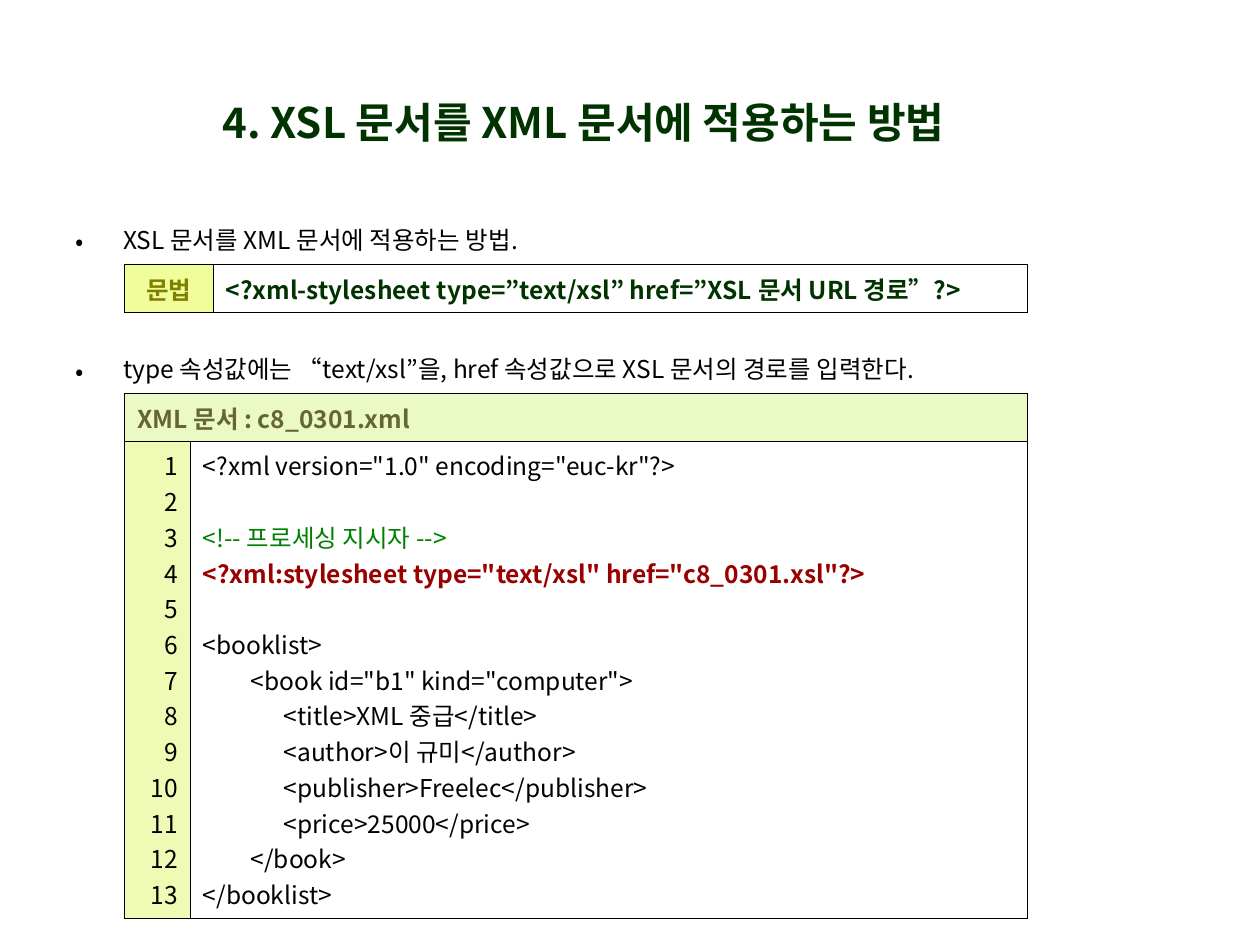
from dataclasses import dataclass

from lxml import etree
from pptx import Presentation
from pptx.dml.color import RGBColor
from pptx.enum.text import MSO_ANCHOR, PP_ALIGN
from pptx.oxml.ns import qn
from pptx.util import Inches, Pt

LEFT, CENTER, RIGHT = PP_ALIGN.LEFT, PP_ALIGN.CENTER, PP_ALIGN.RIGHT
TOP, MIDDLE = MSO_ANCHOR.TOP, MSO_ANCHOR.MIDDLE
FONT = "Noto Sans CJK KR"
BLACK, GREEN = "000000", "003300"
INDENT = 0.38


@dataclass
class Line:
    text: str
    color: str = BLACK
    bold: bool = False


@dataclass
class Cell:
    row: int
    col: int
    lines: list[Line]
    fill: str | None = None
    align: PP_ALIGN = LEFT
    anchor: MSO_ANCHOR = TOP


@dataclass
class Grid:
    top: float
    cols: list[float]
    rows: list[float]
    cells: list[Cell]
    title_row: bool = False


def rgb(color: str) -> RGBColor:
    return RGBColor.from_string(color)


def add_text(p, text: str, *, size: float = 14, color: str = BLACK, bold: bool = False,
             align: PP_ALIGN = LEFT, hanging: bool = True, bullet: bool = False) -> None:
    p.alignment = align
    pPr = p._p.get_or_add_pPr()
    if hanging:
        pPr.set("marL", str(Inches(INDENT)))
        pPr.set("indent", str(-Inches(INDENT)))
    if bullet:
        etree.SubElement(pPr, qn("a:buFont"), typeface=FONT)
        etree.SubElement(pPr, qn("a:buChar"), char="•")
    elif hanging:
        tabs = etree.SubElement(pPr, qn("a:tabLst"))
        etree.SubElement(tabs, qn("a:tab"), pos="0", algn="l")
    if text:
        r = p.add_run()
        r.text = text
        r.font.size = Pt(size)
        r.font.bold = bold
        r.font.color.rgb = rgb(color)
        r.font.name = FONT
        rPr = r._r.get_or_add_rPr()
    else:
        rPr = etree.SubElement(p._p, qn("a:endParaRPr"), sz=str(int(size * 100)))
        etree.SubElement(rPr, qn("a:latin"), typeface=FONT)
    etree.SubElement(rPr, qn("a:ea"), typeface=FONT)


def add_box(s, left: float, top: float, width: float, height: float, anchor: MSO_ANCHOR):
    sp = s.shapes.add_textbox(Inches(left), Inches(top), Inches(width), Inches(height))
    tf = sp.text_frame
    tf.word_wrap = True
    tf.vertical_anchor = anchor
    return tf


def add_borders(cell) -> None:
    tcPr = cell._tc.get_or_add_tcPr()
    for side in ("lnL", "lnR", "lnT", "lnB"):
        ln = etree.SubElement(tcPr, qn(f"a:{side}"), w=str(Pt(0.45)))
        fill = etree.SubElement(ln, qn("a:solidFill"))
        etree.SubElement(fill, qn("a:srgbClr"), val=BLACK)


def add_grid(s, grid: Grid) -> None:
    table = s.shapes.add_table(len(grid.rows), len(grid.cols), Inches(0.99), Inches(grid.top),
                               Inches(sum(grid.cols)), Inches(sum(grid.rows))).table
    table.first_row = table.horz_banding = False
    for col, width in zip(table.columns, grid.cols):
        col.width = Inches(width)
    for row, height in zip(table.rows, grid.rows):
        row.height = Inches(height)
    for cell in table.iter_cells():
        add_borders(cell)
        cell.fill.background()
    if grid.title_row:
        table.cell(0, 0).merge(table.cell(0, len(grid.cols) - 1))
    for item in grid.cells:
        cell = table.cell(item.row, item.col)
        cell.vertical_anchor = item.anchor
        if item.fill:
            cell.fill.solid()
            cell.fill.fore_color.rgb = rgb(item.fill)
        tf = cell.text_frame
        for i, line in enumerate(item.lines):
            p = tf.add_paragraph() if i else tf.paragraphs[0]
            add_text(p, line.text, color=line.color, bold=line.bold, align=item.align)


BULLETS = [
    "XSL 문서를 XML 문서에 적용하는 방법.",
    "type 속성값에는 “text/xsl”을, href 속성값으로 XSL 문서의 경로를 입력한다.",
]

CODE = [
    Line('<?xml version="1.0" encoding="euc-kr"?>'),
    Line(""),
    Line("<!-- 프로세싱 지시자 -->", "008000"),
    Line('<?xml:stylesheet type="text/xsl" href="c8_0301.xsl"?>', "990000", True),
    Line(""),
    Line("<booklist>"),
    Line('\t<book id="b1" kind="computer">'),
    Line("\t      <title>XML 중급</title>"),
    Line("\t      <author>이 규미</author>"),
    Line("\t      <publisher>Freelec</publisher>"),
    Line("\t      <price>25000</price>"),
    Line("\t</book>"),
    Line("</booklist>"),
]

SYNTAX = Grid(2.1, [0.7, 6.46], [0.38], [
    Cell(0, 0, [Line("문법", "808000", True)], "F1FD9B", CENTER, MIDDLE),
    Cell(0, 1, [Line("<?xml-stylesheet type=”text/xsl” href=”XSL 문서 URL 경로”?>", GREEN, True)],
         anchor=MIDDLE),
])

LISTING = Grid(3.12, [0.52, 6.64], [0.38, 3.79], [
    Cell(0, 0, [Line("XML 문서 : c8_0301.xml", "666633", True)], "EBFAC4"),
    Cell(1, 0, [Line(str(n)) for n in range(1, len(CODE) + 1)], "EFFBB5", RIGHT),
    Cell(1, 1, CODE),
], title_row=True)


def main() -> None:
    prs = Presentation()
    prs.slide_width, prs.slide_height = Inches(10), Inches(7.5)
    s = prs.slides.add_slide(prs.slide_layouts[6])

    tf = add_box(s, 0.5, 1.76, 9.07, 2.08, TOP)
    for i, text in enumerate(BULLETS):
        p = tf.add_paragraph() if i else tf.paragraphs[0]
        add_text(p, text, bullet=True)
        p.line_spacing = 0.9
        p.space_before = Pt(59 if i else 0)

    for grid in (SYNTAX, LISTING):
        add_grid(s, grid)

    tf = add_box(s, 1.06, 0.62, 7.14, 0.69, MIDDLE)
    add_text(tf.paragraphs[0], "4. XSL 문서를 XML 문서에 적용하는 방법", size=24, color=GREEN,
             bold=True, align=CENTER, hanging=False)

    prs.save("out.pptx")


if __name__ == "__main__":
    main()
